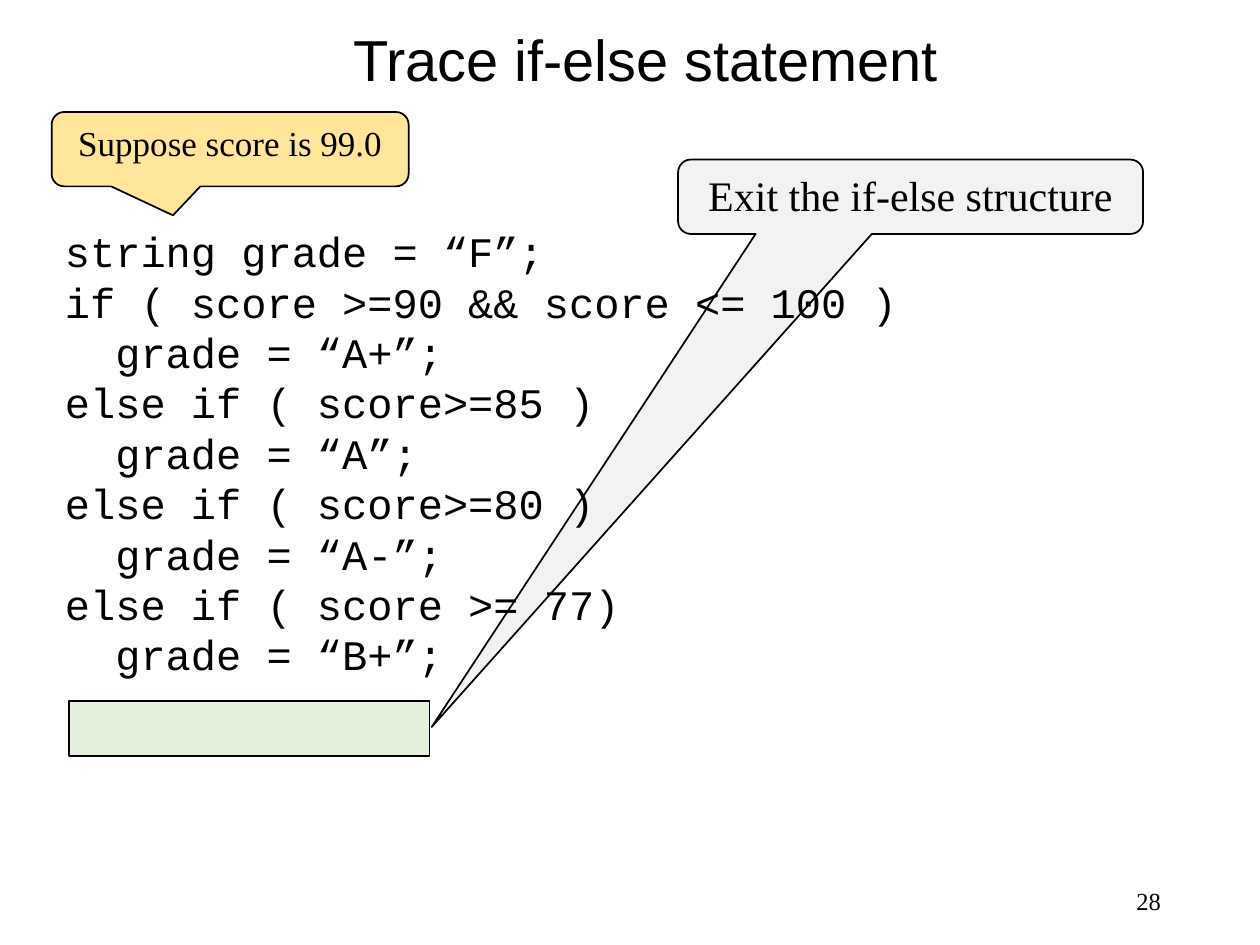
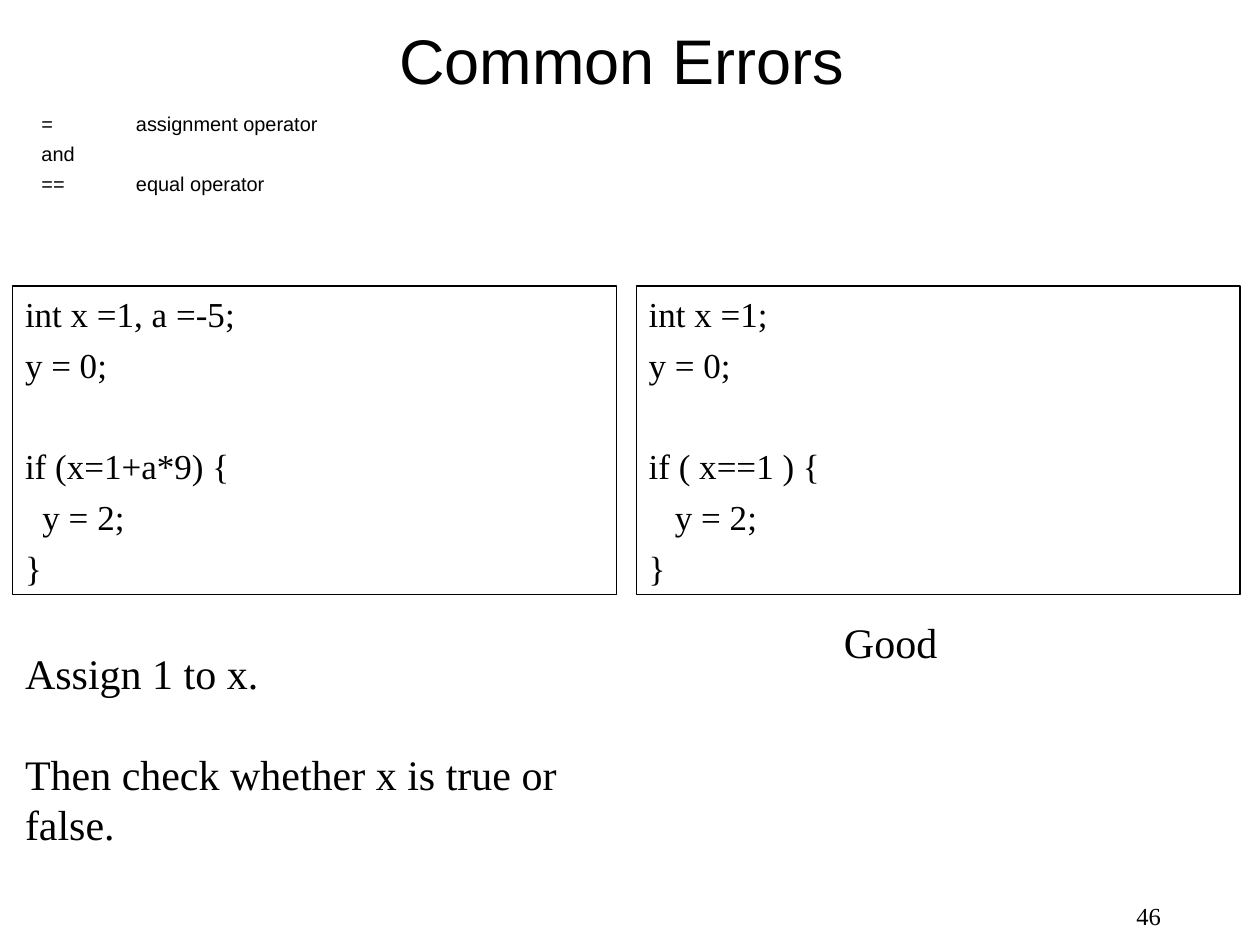
from lxml import etree
from pptx import Presentation
from pptx.dml.color import RGBColor
from pptx.enum.shapes import MSO_SHAPE
from pptx.enum.text import MSO_ANCHOR, PP_ALIGN
from pptx.oxml.ns import qn
from pptx.util import Pt

BLACK = RGBColor(0x00, 0x00, 0x00)
YELLOW = RGBColor(0xFF, 0xE6, 0x99)
GREEN = RGBColor(0xC5, 0xE0, 0xB4)
GRAY = RGBColor(0xF2, 0xF2, 0xF2)

SANS = "Arial"
SERIF = "Times New Roman"
MONO = "Courier New"

LEFT, CENTER, RIGHT = PP_ALIGN.LEFT, PP_ALIGN.CENTER, PP_ALIGN.RIGHT
TOP, MIDDLE = MSO_ANCHOR.TOP, MSO_ANCHOR.MIDDLE
RECTANGLE = MSO_SHAPE.RECTANGLE
CALLOUT = MSO_SHAPE.ROUNDED_RECTANGULAR_CALLOUT

LEADING = 1.2


class SlideBuilder:
    def __init__(self):
        self.deck = Presentation()
        self.deck.slide_width = Pt(720)
        self.deck.slide_height = Pt(540)
        self.page = None

    def new_page(self):
        self.page = self.deck.slides.add_slide(self.deck.slide_layouts[6])

    def fill_text(self, box, lines, size, font=SERIF, align=LEFT, anchor=TOP,
                  leading=None, gap=0, blank_gap=0, tab=None):
        frame = box.text_frame
        frame.word_wrap = True
        frame.vertical_anchor = anchor
        para = frame.paragraphs[0]
        space = 0
        for index, line in enumerate(lines):
            if not line:
                space += blank_gap
                continue
            if index:
                para = frame.add_paragraph()
            para.alignment = align
            para.line_spacing = leading or Pt(size * LEADING)
            para.space_before = Pt(space)
            if tab:
                tab_list = etree.SubElement(para._p.get_or_add_pPr(), qn("a:tabLst"))
                etree.SubElement(tab_list, qn("a:tab"), pos=str(Pt(tab)), algn="l")
            span = para.add_run()
            span.text = line
            span.font.name = font
            span.font.size = Pt(size)
            span.font.color.rgb = BLACK
            space = gap

    def text(self, area, lines, size, **style):
        box = self.page.shapes.add_textbox(*map(Pt, area))
        self.fill_text(box, lines, size, **style)

    def title(self, area, wording, size):
        self.text(area, [wording], size, font=SANS, align=CENTER,
                  anchor=MIDDLE, leading=0.9)

    def page_number(self, top, number):
        self.text((508.5, top, 162, 28.8), [str(number)], 14,
                  align=RIGHT, anchor=MIDDLE)

    def shape(self, kind, area, fill=None, line_width=1):
        shape = self.page.shapes.add_shape(kind, *map(Pt, area))
        shape.shadow.inherit = False
        if fill is None:
            shape.fill.background()
        else:
            shape.fill.solid()
            shape.fill.fore_color.rgb = fill
        shape.line.color.rgb = BLACK
        shape.line.width = Pt(line_width)
        return shape

    def translucent_bar(self, area, fill, percent):
        bar = self.shape(RECTANGLE, area, fill)
        color = bar._element.spPr.find(qn("a:solidFill"))[0]
        etree.SubElement(color, qn("a:alpha"), val=str(percent * 1000))

    def callout(self, area, fill, pointer, wording, size):
        bubble = self.shape(CALLOUT, area, fill)
        for index, value in enumerate((*pointer, 0.17)):
            bubble.adjustments[index] = value
        self.fill_text(bubble, [wording], size, align=CENTER)

    def code_panel(self, left, lines):
        panel = self.shape(RECTANGLE, (left, 163.5, 345, 176.4), line_width=0.75)
        self.fill_text(panel, lines, 20, gap=5, blank_gap=29)


def trace_page(builder):
    builder.new_page()
    builder.title((54, 0, 630, 72), "Trace if-else statement", 33)
    builder.page_number(500.4, 28)
    builder.callout((29.5, 64, 204, 42.5), YELLOW, (-0.16, 0.89),
                    "Suppose score is 99.0", 20)
    builder.translucent_bar((39.5, 400.5, 206, 31.5), GREEN, 45)
    builder.callout((387.5, 91.2, 265.7, 42.5), GRAY, (-1.03, 7.13),
                    "Exit the if-else structure", 24)
    builder.text((30, 125.5, 608.4, 266.4), [
        "string grade = “F”;",
        "if ( score >=90 && score <= 100 )",
        "  grade = “A+”;",
        "else if ( score>=85 )",
        "  grade = “A”;",
        "else if ( score>=80 )",
        "  grade = “A-”;",
        "else if ( score >= 77)",
        "  grade = “B+”;",
    ], 24, font=MONO)


def errors_page(builder):
    builder.new_page()
    builder.title((15, 18.7, 680.4, 36), "Common Errors", 36)
    builder.text((16.6, 64, 686, 48.2),
                 ["=\tassignment operator", "and", "==\tequal operator"],
                 11.4, font=SANS, leading=0.7, gap=7.5, tab=54)
    builder.page_number(509, 46)
    builder.code_panel(7.2, ["int x =1, a =-5;", "y = 0;", "",
                             "if (x=1+a*9) {", "  y = 2;", "}"])
    builder.code_panel(363.6, ["int x =1;", "y = 0;", "",
                               "if ( x==1 ) {", "   y = 2;", "}"])
    builder.text((475.2, 348.5, 100, 36), ["Good"], 24)
    builder.text((7.2, 366.5, 345, 122.4),
                 ["Assign 1 to x.", "", "Then check whether x is true or false."],
                 24, blank_gap=28.8)


def main():
    builder = SlideBuilder()
    trace_page(builder)
    errors_page(builder)
    builder.deck.save("out.pptx")


if __name__ == "__main__":
    main()
